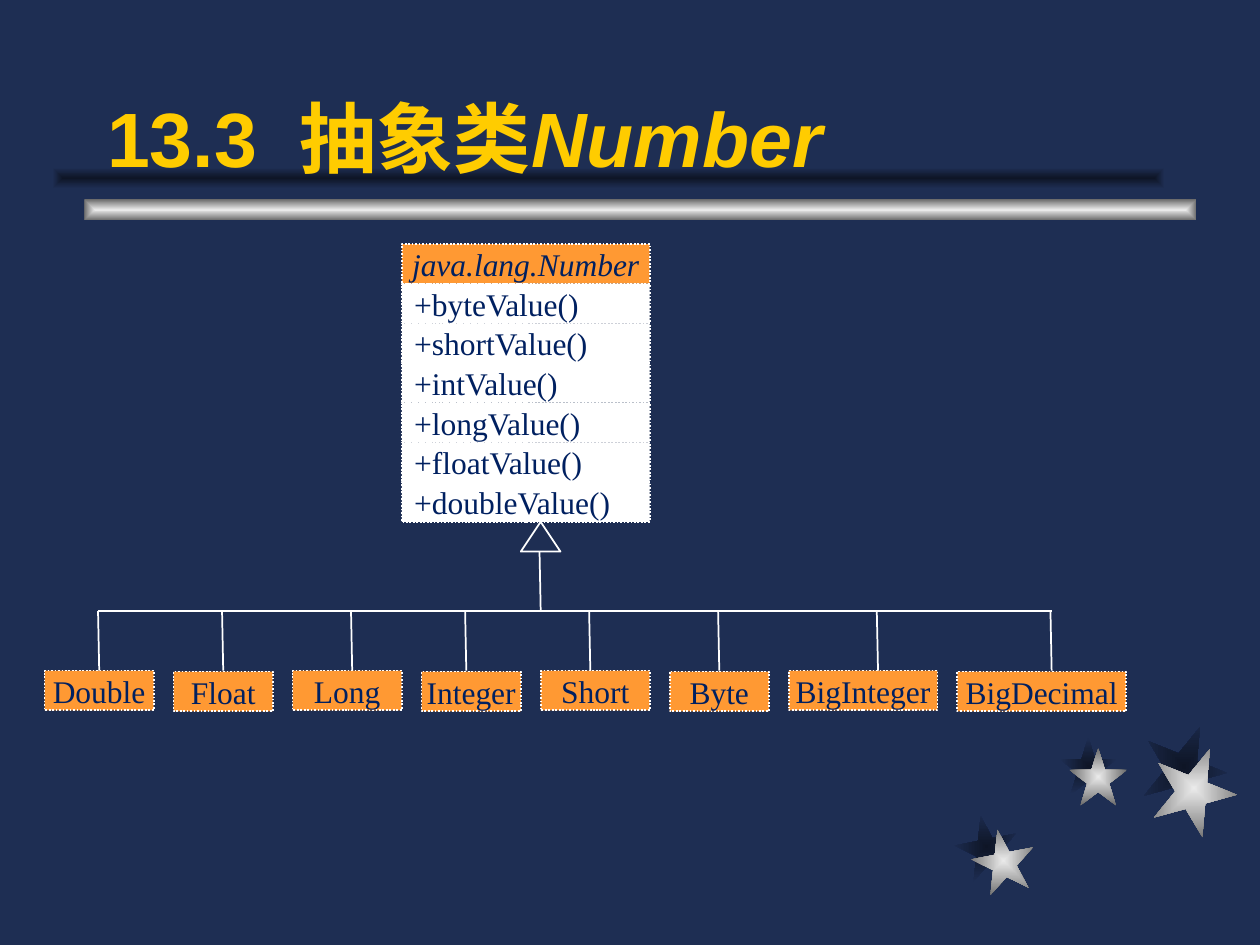
from lxml import etree
from pptx import Presentation
from pptx.dml.color import RGBColor
from pptx.enum.dml import MSO_LINE
from pptx.enum.shapes import MSO_CONNECTOR, MSO_SHAPE
from pptx.enum.text import MSO_ANCHOR, MSO_AUTO_SIZE, PP_ALIGN
from pptx.oxml.ns import qn
from pptx.util import Cm, Inches, Pt

RECT, STAR = MSO_SHAPE.RECTANGLE, MSO_SHAPE.STAR_5_POINT
TRIANGLE = MSO_SHAPE.ISOSCELES_TRIANGLE
STRAIGHT = MSO_CONNECTOR.STRAIGHT
DOTTED = MSO_LINE.ROUND_DOT
LEFT, CENTER = PP_ALIGN.LEFT, PP_ALIGN.CENTER
MIDDLE, BOTTOM = MSO_ANCHOR.MIDDLE, MSO_ANCHOR.BOTTOM
NO_AUTOFIT = MSO_AUTO_SIZE.NONE
TITLE_ONLY = 5

NAVY, INK, GOLD = "1E2E53", "002060", "FFCC00"
ORANGE, WHITE = "FF9933", "FFFFFF"
SHADE, SILVER = ("0E1526", NAVY), ("EAEAEA", "6C6C6C")


def color(value):
    return RGBColor.from_string(value)


def grid(*units):
    """Turn grid columns or rows into lengths; the slide is 127 columns wide."""
    return [Cm(0.2 * unit) for unit in units]


class Diagram:
    heading_font, body_font = "Arial", "Times New Roman"
    heading_size, body_size = 44, 18

    def __init__(self, prs):
        self.slide = prs.slides.add_slide(prs.slide_layouts[TITLE_ONLY])
        fill = self.slide.background.fill
        fill.solid()
        fill.fore_color.rgb = color(NAVY)

    def run(self, p, text, font, size, ink, bold=None, italic=None):
        r = p.add_run()
        r.text = text
        r.font.name, r.font.size = font, Pt(size)
        r.font.color.rgb = color(ink)
        r.font.bold, r.font.italic = bold, italic

    def title(self, at, runs):
        """Fill the title and bring it in front of the decoration."""
        sp = self.slide.shapes.title
        sp.left, sp.top, sp.width, sp.height = grid(*at)
        sp.element.getparent().append(sp.element)
        tf = sp.text_frame
        tf.auto_size, tf.vertical_anchor = NO_AUTOFIT, BOTTOM
        p = tf.paragraphs[0]
        p.alignment = LEFT
        for text, italic in runs:
            self.run(p, text, self.heading_font, self.heading_size, GOLD, True, italic)

    def shape(self, kind, at):
        sp = self.slide.shapes.add_shape(kind, *grid(*at))
        sp.shadow.inherit = False
        return sp

    def glow(self, kind, at, shades, rotation=0):
        """Add a borderless shape shaded from its centre to its edges."""
        sp = self.shape(kind, at)
        sp.rotation = rotation
        sp.line.fill.background()
        sp.fill.gradient()
        for stop, shade in zip(sp.fill.gradient_stops, shades):
            stop.color.rgb = color(shade)
        for position, stop in enumerate(sp.fill.gradient_stops):
            stop.position = position
        grad = sp.element.spPr.find(qn("a:gradFill"))
        grad.remove(grad.find(qn("a:lin")))
        path = etree.SubElement(grad, qn("a:path"), {"path": "rect"})
        etree.SubElement(path, qn("a:fillToRect"), dict.fromkeys("ltrb", "50000"))

    def outline(self, line):
        line.color.rgb = color(WHITE)
        line.width = Pt(1)

    def box(self, at, text, fill=ORANGE, align=CENTER, italic=None):
        sp = self.shape(RECT, at)
        sp.fill.solid()
        sp.fill.fore_color.rgb = color(fill)
        self.outline(sp.line)
        sp.line.dash_style = DOTTED
        tf = sp.text_frame
        tf.word_wrap, tf.vertical_anchor = False, MIDDLE
        p = tf.paragraphs[0]
        p.alignment = align
        self.run(p, text, self.body_font, self.body_size, INK, italic=italic)

    def triangle(self, at):
        sp = self.shape(TRIANGLE, at)
        sp.fill.background()
        self.outline(sp.line)

    def line(self, *ends):
        cxn = self.slide.shapes.add_connector(STRAIGHT, *grid(*ends))
        self.outline(cxn.line)
        etree.SubElement(cxn.element.spPr, qn("a:effectLst"))


def decorate(s):
    stars = [  # shadow corner, star corner, size, rotation
        ((96.3, 82.2), (98, 83.6), 6.3, 349),
        ((106.8, 74.3), (107.8, 75.4), 5.8, 0),
        ((115.1, 73), (116.1, 75.2), 8.5, 22),
    ]
    for layer, shades in enumerate((SHADE, SILVER)):
        for star in stars:
            size, rotation = star[2:]
            s.glow(STAR, (*star[layer], size, size), shades, rotation)
    s.glow(RECT, (8.5, 20.1, 112.1, 2.1), SILVER)
    s.glow(RECT, (5.3, 16.9, 112.1, 2.1), SHADE)


def draw_parent(s, left, top, width, row):
    """Draw the abstract class and return the row where it ends."""
    s.box((left, top, width, row), "java.lang.Number", italic=True)
    for kind in ("byte", "short", "int", "long", "float", "double"):
        top += row
        s.box((left, top, width, row), f"+{kind}Value()", WHITE, LEFT)
    return top + row


def draw_children(s, bar, top, row, lean):
    children = [  # name, box width, column of its branch
        ("Double", 11, 10), ("Float", 10, 22.5),
        ("Long", 11, 35.5), ("Integer", 10, 47),
        ("Short", 11, 59.5), ("Byte", 10, 72.5),
        ("BigInteger", 15, 88.5), ("BigDecimal", 17, 106),
    ]
    left, gap = 4.5, 2
    for index, (name, width, branch) in enumerate(children):
        s.box((left, top + 0.1 * (index % 2), width, row), name)
        s.line(branch - lean, bar, branch, top)
        left += width + gap
    s.line(children[0][2] - lean, bar, children[-1][2], bar)


def main():
    prs = Presentation()
    prs.slide_width, prs.slide_height = Inches(10), Inches(7.5)
    s = Diagram(prs)
    decorate(s)
    s.title((9.53, 3.18, 107.95, 15.88), [("13.3  抽象类", None), ("Number", True)])

    row, lean, axis = 4, 0.12, 54.5
    bottom = draw_parent(s, 40.5, 24.6, 25, row)
    s.triangle((axis - 2, bottom, 4, 3))
    s.line(axis - lean, bottom + 3, axis, bottom + 9)
    draw_children(s, bottom + 9, bottom + 15, row, lean)
    prs.save("out.pptx")


if __name__ == "__main__":
    main()
